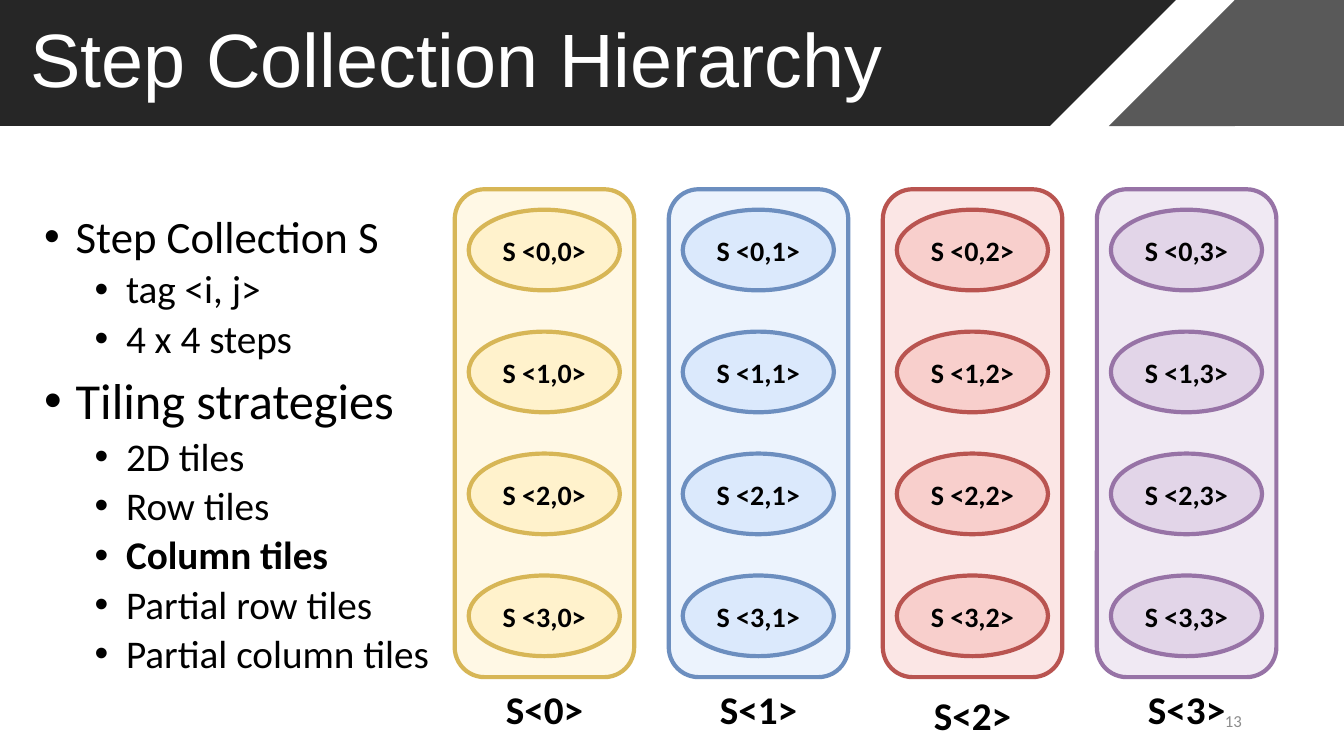
from lxml import etree
from pptx import Presentation
from pptx.dml.color import RGBColor
from pptx.enum import shapes, text
from pptx.oxml import ns
from pptx.util import Pt

BLACK = RGBColor(0x00, 0x00, 0x00)
WHITE = RGBColor(0xFF, 0xFF, 0xFF)
DARK = RGBColor(0x26, 0x26, 0x26)
GREY = RGBColor(0x59, 0x59, 0x59)
PALE_GREY = RGBColor(0x8C, 0x8C, 0x8C)
COLUMN_COLOURS = [
    (RGBColor(0xFF, 0xF2, 0xCC), RGBColor(0xD7, 0xB6, 0x56)),
    (RGBColor(0xDB, 0xE9, 0xFC), RGBColor(0x6C, 0x8E, 0xBF)),
    (RGBColor(0xF8, 0xCF, 0xCC), RGBColor(0xB9, 0x54, 0x50)),
    (RGBColor(0xE2, 0xD5, 0xE8), RGBColor(0x97, 0x73, 0xA6)),
]
OUTLINE = [
    (0, "Step Collection S", 32, False),
    (1, "tag <i, j>", 28, False),
    (1, "4 x 4 steps", 28, False),
    (0, "Tiling strategies", 36, False),
    (1, "2D tiles", 28, False),
    (1, "Row tiles", 28, False),
    (1, "Column tiles", 28, True),
    (1, "Partial row tiles", 28, False),
    (1, "Partial column tiles", 28, False),
]
SHAPE = shapes.MSO_SHAPE
ALIGN = text.PP_ALIGN
ANCHOR = text.MSO_ANCHOR

BANNER_HEIGHT = 90
COLUMN_LEFT, COLUMN_PITCH = 324.8, 152.9
STEP_TOP, STEP_PITCH = 149.8, 87.1
LABEL_TOPS = [486, 486, 490.3, 486]


class SlideBuilder:
    font = "Calibri"
    line_width = 3

    def __init__(self, slide):
        self.slide = slide

    def set_font(self, paragraph, size, colour=BLACK, bold=False, name=None):
        font = paragraph.font
        font.name = name or self.font
        font.size = Pt(size)
        font.bold = bold
        font.color.rgb = colour

    def shape(self, kind, box, fill, line=None, opacity=None):
        shape = self.slide.shapes.add_shape(kind, *map(Pt, box))
        shape.shadow.inherit = False
        shape.fill.solid()
        shape.fill.fore_color.rgb = fill
        if opacity is not None:
            colour = shape.fill._xPr.find(".//" + ns.qn("a:srgbClr"))
            etree.SubElement(colour, ns.qn("a:alpha"), val=str(opacity * 1000))
        if line is None:
            shape.line.fill.background()
        else:
            shape.line.color.rgb = line
            shape.line.width = Pt(self.line_width)
        return shape

    def triangle(self, box, fill, rotation=0):
        shape = self.shape(SHAPE.ISOSCELES_TRIANGLE, box, fill)
        shape.adjustments[0] = 1
        shape.rotation = rotation

    def step(self, box, words, fill, line):
        frame = self.shape(SHAPE.OVAL, box, fill, line).text_frame
        frame.word_wrap = False
        frame.vertical_anchor = ANCHOR.MIDDLE
        paragraph = frame.paragraphs[0]
        paragraph.text = words
        paragraph.alignment = ALIGN.CENTER
        self.set_font(paragraph, 20, bold=True)

    def frame(self, box, wrap=True, anchor=ANCHOR.TOP):
        frame = self.slide.shapes.add_textbox(*map(Pt, box)).text_frame
        frame.word_wrap = wrap
        frame.vertical_anchor = anchor
        return frame

    def text(self, box, words, size, wrap=True, anchor=ANCHOR.TOP,
             align=ALIGN.LEFT, **style):
        paragraph = self.frame(box, wrap, anchor).paragraphs[0]
        paragraph.text = words
        paragraph.alignment = align
        self.set_font(paragraph, size, **style)
        return paragraph

    def bullets(self, box, items):
        frame = self.frame(box)
        for index, (level, words, size, bold) in enumerate(items):
            paragraph = frame.add_paragraph() if index else frame.paragraphs[0]
            paragraph.text = words
            paragraph.level = level
            properties = paragraph._p.get_or_add_pPr()
            properties.set("marL", str(Pt(22.5 + 36 * level)))
            properties.set("indent", str(-Pt(22.5)))
            bullet_font = etree.SubElement(properties, ns.qn("a:buFont"))
            bullet_font.set("typeface", "Arial")
            etree.SubElement(properties, ns.qn("a:buChar"), char="•")
            paragraph.line_spacing = 0.9
            paragraph.space_before = Pt(5 if level else 10)
            self.set_font(paragraph, size, bold=bold)


def main():
    presentation = Presentation()
    presentation.slide_width = Pt(960)
    presentation.slide_height = Pt(540)
    slide = presentation.slides.add_slide(presentation.slide_layouts[6])
    builder = SlideBuilder(slide)

    builder.shape(SHAPE.RECTANGLE, (0, 0, 750, BANNER_HEIGHT), DARK)
    builder.shape(SHAPE.RECTANGLE, (882, 0, 78, BANNER_HEIGHT), GREY)
    builder.triangle((750, 0, 90, BANNER_HEIGHT), DARK, rotation=180)
    builder.triangle((792, 0, 90, BANNER_HEIGHT), GREY)
    title = builder.text((14.4, 0, 777.6, BANNER_HEIGHT),
                         "Step Collection Hierarchy", 54,
                         anchor=ANCHOR.MIDDLE, colour=WHITE, name="Arial")
    title.line_spacing = 0.9
    builder.bullets((24.5, 149.8, 292.3, 342.7), OUTLINE)

    for column, (fill, line) in enumerate(COLUMN_COLOURS):
        left = COLUMN_LEFT + column * COLUMN_PITCH
        builder.shape(SHAPE.ROUNDED_RECTANGLE, (left, 135.2, 128.2, 348.5),
                      fill, line, opacity=50)
        for row in range(4):
            top = STEP_TOP + row * STEP_PITCH
            builder.step((left + 10, top, 108, 57.6),
                         f"S <{row},{column}>", fill, line)
        builder.text((left + 29.4, LABEL_TOPS[column], 70.6, 41),
                     f"S<{column}>", 28, wrap=False, bold=True)

    builder.text((678.2, 500.4, 216, 28.8), "13", 12, anchor=ANCHOR.MIDDLE,
                 align=ALIGN.RIGHT, colour=PALE_GREY)
    presentation.save("out.pptx")


if __name__ == "__main__":
    main()
